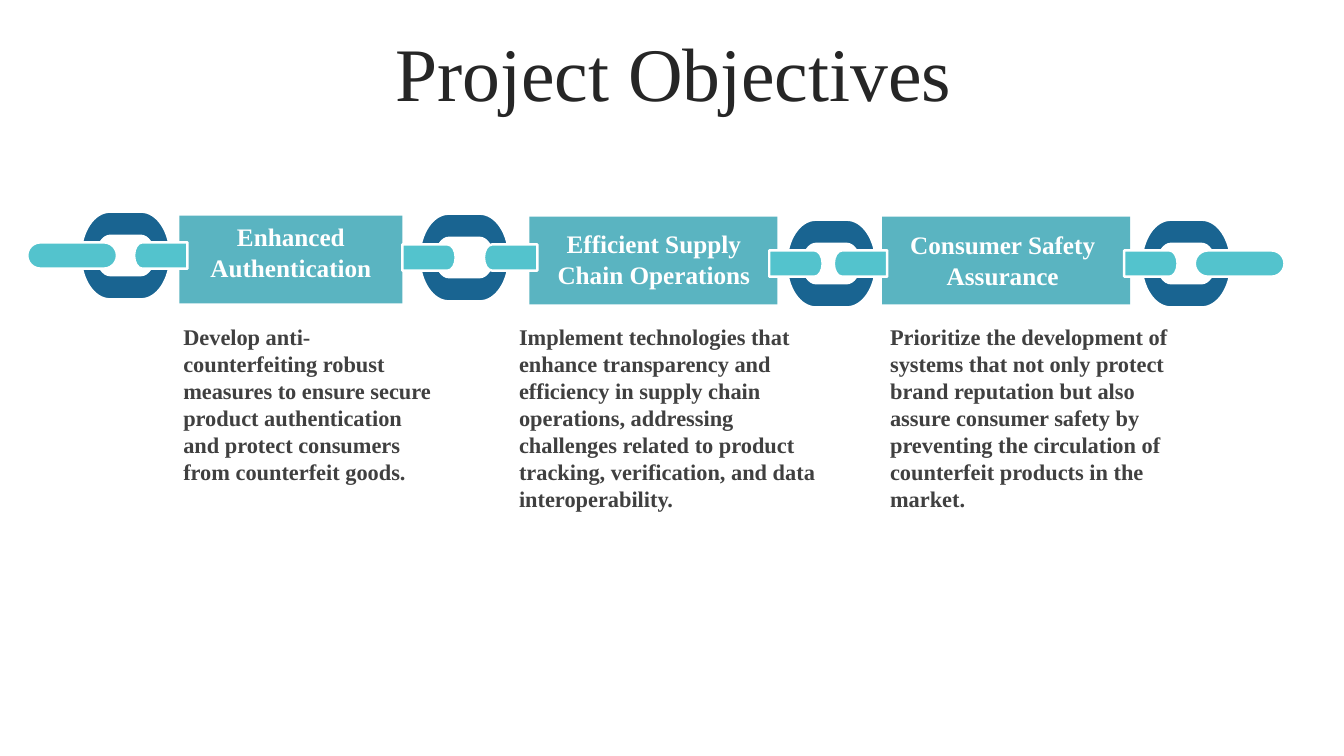
from dataclasses import dataclass

from lxml import etree
from pptx import Presentation
from pptx.dml.color import RGBColor
from pptx.enum.shapes import MSO_SHAPE
from pptx.enum.text import MSO_ANCHOR, MSO_AUTO_SIZE, PP_ALIGN
from pptx.oxml.ns import qn
from pptx.util import Inches, Pt

ROUNDED_RECTANGLE = MSO_SHAPE.ROUNDED_RECTANGLE
MIDDLE = MSO_ANCHOR.MIDDLE
NO_AUTOFIT, GROW = MSO_AUTO_SIZE.NONE, MSO_AUTO_SIZE.SHAPE_TO_FIT_TEXT
LEFT, CENTER = PP_ALIGN.LEFT, PP_ALIGN.CENTER
TITLE_ONLY_LAYOUT = 5


@dataclass(frozen=True)
class Theme:
    font: str = "Times New Roman"
    title_color: str = "262626"
    body_color: str = "404040"
    white: str = "FFFFFF"
    banner: str = "5AB4C1"
    ring: str = "196491"
    bar: str = "53C3CD"
    title_size: int = 54
    heading_size: int = 18
    body_size: int = 16
    outline_width: float = 1.75


RING_WIDTH, RING_HEIGHT, RING_CURVE = 0.89, 0.87, 0.29
HOLE_WIDTH, HOLE_HEIGHT, HOLE_CURVE = 0.56, 0.39, 0.13
BAR_WIDTH, BAR_HEIGHT, BAR_CURVE = 0.53, 0.26, 0.08
END_BAR_WIDTH = 0.89
END_BAR_OFFSET = 0.53
LEFT_BAR_OFFSET = -0.17
BEZIER_QUARTER = 0.55

# Banner box, heading box, heading, description box, description
OBJECTIVES = [
    ((1.78, 2.14, 2.21, 0.87), (1.69, 2.15, 2.39, 0.71), "Enhanced Authentication",
     (1.72, 3.16, 2.74, 1.72),
     "Develop anti-counterfeiting robust measures to ensure secure product "
     "authentication and protect consumers from counterfeit goods."),
    ((5.25, 2.15, 2.46, 0.87), (5.28, 2.22, 2.41, 0.71), "Efficient Supply Chain Operations",
     (5.05, 3.16, 3.16, 1.99),
     "Implement technologies that enhance transparency and efficiency in supply "
     "chain operations, addressing challenges related to product tracking, "
     "verification, and data interoperability."),
    ((8.75, 2.15, 2.46, 0.87), (8.74, 2.23, 2.41, 0.71), "Consumer Safety Assurance",
     (8.73, 3.16, 3.03, 1.99),
     "Prioritize the development of systems that not only protect brand reputation "
     "but also assure consumer safety by preventing the circulation of counterfeit "
     "products in the market."),
]

# Ring left, ring top, offset of the right bar (None where the chain ends)
LINKS = [(0.8, 2.1, 0.53), (4.16, 2.12, 0.64), (7.8, 2.18, 0.47), (11.32, 2.18, None)]


def capsule_points(left, top, width, height, left_curve, right_curve):
    """Corner points in EMU, from top left and back; a curved end adds its middle."""
    right, bottom, middle = left + width, top + height, top + height / 2
    inner_left, inner_right = left + left_curve, right - right_curve
    points = [(inner_left, top), (inner_right, top)]
    if right_curve:
        points.append((right, middle))
    points += [(inner_right, bottom), (inner_left, bottom)]
    if left_curve:
        points.append((left, middle))
    points.append((inner_left, top))
    return [(Inches(x), Inches(y)) for x, y in points]


def round_diagonals(shape):
    """Turn each slanted segment into a quarter ellipse, level and upright starts in turn."""
    previous, level_start = None, True
    for point in list(shape.element.iter(qn("a:pt"))):
        x, y = int(point.get("x")), int(point.get("y"))
        segment = point.getparent()
        if segment.tag == qn("a:lnTo") and x != previous[0] and y != previous[1]:
            start_x, start_y = previous
            near_x = start_x + BEZIER_QUARTER * (x - start_x)
            near_y = start_y + BEZIER_QUARTER * (y - start_y)
            far_x = x - BEZIER_QUARTER * (x - start_x)
            far_y = y - BEZIER_QUARTER * (y - start_y)
            if level_start:
                controls = [(near_x, start_y), (x, far_y)]
            else:
                controls = [(start_x, near_y), (far_x, y)]
            curve = etree.Element(qn("a:cubicBezTo"))
            for curve_x, curve_y in controls + [(x, y)]:
                etree.SubElement(curve, qn("a:pt"), x=str(round(curve_x)), y=str(round(curve_y)))
            segment.getparent().replace(segment, curve)
            level_start = not level_start
        previous = (x, y)


def write_text(frame, text, *, theme, size, color, bold=False, align=LEFT):
    frame.word_wrap = True
    paragraph = frame.paragraphs[0]
    paragraph.alignment = align
    run = paragraph.add_run()
    run.text = text
    font = run.font
    font.name, font.size, font.bold = theme.font, Pt(size), bold
    font.color.rgb = RGBColor.from_string(color)
    return paragraph


class SlideBuilder:
    def __init__(self, slide, theme):
        self.slide = slide
        self.theme = theme

    def title(self, text, box):
        shape = self.slide.shapes.title
        shape.left, shape.top, shape.width, shape.height = map(Inches, box)
        frame = shape.text_frame
        frame.vertical_anchor = MIDDLE
        frame.auto_size = NO_AUTOFIT
        paragraph = write_text(frame, text, theme=self.theme, size=self.theme.title_size,
                               color=self.theme.title_color, align=CENTER)
        paragraph.line_spacing = 0.9
        paragraph.space_before = Pt(10)

    def text(self, text, box, **text_format):
        shape = self.slide.shapes.add_textbox(*map(Inches, box))
        shape.text_frame.auto_size = GROW
        write_text(shape.text_frame, text, theme=self.theme, bold=True, **text_format)

    def paint(self, shape, fill, outlined=True):
        shape.shadow.inherit = False
        shape.fill.solid()
        shape.fill.fore_color.rgb = RGBColor.from_string(fill)
        if outlined:
            shape.line.color.rgb = RGBColor.from_string(self.theme.white)
            shape.line.width = Pt(self.theme.outline_width)
        else:
            shape.line.fill.background()

    def rounded_box(self, box, fill, rounding, outlined):
        shape = self.slide.shapes.add_shape(ROUNDED_RECTANGLE, *map(Inches, box))
        shape.adjustments[0] = rounding
        self.paint(shape, fill, outlined)

    def banner(self, box):
        self.rounded_box(box, self.theme.banner, 0, outlined=False)

    def end_bar(self, left, top):
        self.rounded_box((left, top, END_BAR_WIDTH, BAR_HEIGHT), self.theme.bar, 0.5, outlined=True)

    def outline(self, contours, fill):
        """Draw closed contours as one shape; later contours cut holes."""
        builder = self.slide.shapes.build_freeform(*contours[0][0], scale=1.0)
        builder.add_line_segments(contours[0][1:], close=True)
        for contour in contours[1:]:
            builder.move_to(*contour[0])
            builder.add_line_segments(contour[1:], close=True)
        shape = builder.convert_to_shape()
        round_diagonals(shape)
        self.paint(shape, fill)

    def ring(self, left, top):
        outer = capsule_points(left, top, RING_WIDTH, RING_HEIGHT, RING_CURVE, RING_CURVE)
        hole = capsule_points(left + (RING_WIDTH - HOLE_WIDTH) / 2,
                              top + (RING_HEIGHT - HOLE_HEIGHT) / 2,
                              HOLE_WIDTH, HOLE_HEIGHT, HOLE_CURVE, HOLE_CURVE)
        self.outline([outer, hole[::-1]], self.theme.ring)

    def bar(self, left, top, left_curve=0, right_curve=0):
        points = capsule_points(left, top, BAR_WIDTH, BAR_HEIGHT, left_curve, right_curve)
        self.outline([points], self.theme.bar)

    def link(self, left, top, right_bar_offset, first):
        bar_top = top + (RING_HEIGHT - BAR_HEIGHT) / 2
        self.ring(left, top)
        if first:
            self.end_bar(left - END_BAR_OFFSET, bar_top)
        else:
            self.bar(left + LEFT_BAR_OFFSET, bar_top, right_curve=BAR_CURVE)
        if right_bar_offset is None:
            self.end_bar(left + END_BAR_OFFSET, bar_top)
        else:
            self.bar(left + right_bar_offset, bar_top, left_curve=BAR_CURVE)


def main():
    presentation = Presentation()
    presentation.slide_width, presentation.slide_height = Inches(13.33), Inches(7.5)
    slide = presentation.slides.add_slide(presentation.slide_layouts[TITLE_ONLY_LAYOUT])
    theme = Theme()
    builder = SlideBuilder(slide, theme)
    builder.title("Project Objectives", (0.35, 0.37, 12.66, 0.79))
    for banner_box, heading_box, heading, description_box, description in OBJECTIVES:
        builder.banner(banner_box)
        builder.text(heading, heading_box, size=theme.heading_size, color=theme.white, align=CENTER)
        builder.text(description, description_box, size=theme.body_size, color=theme.body_color)
    for index, (left, top, right_bar_offset) in enumerate(LINKS):
        builder.link(left, top, right_bar_offset, first=index == 0)
    presentation.save("out.pptx")


if __name__ == "__main__":
    main()
